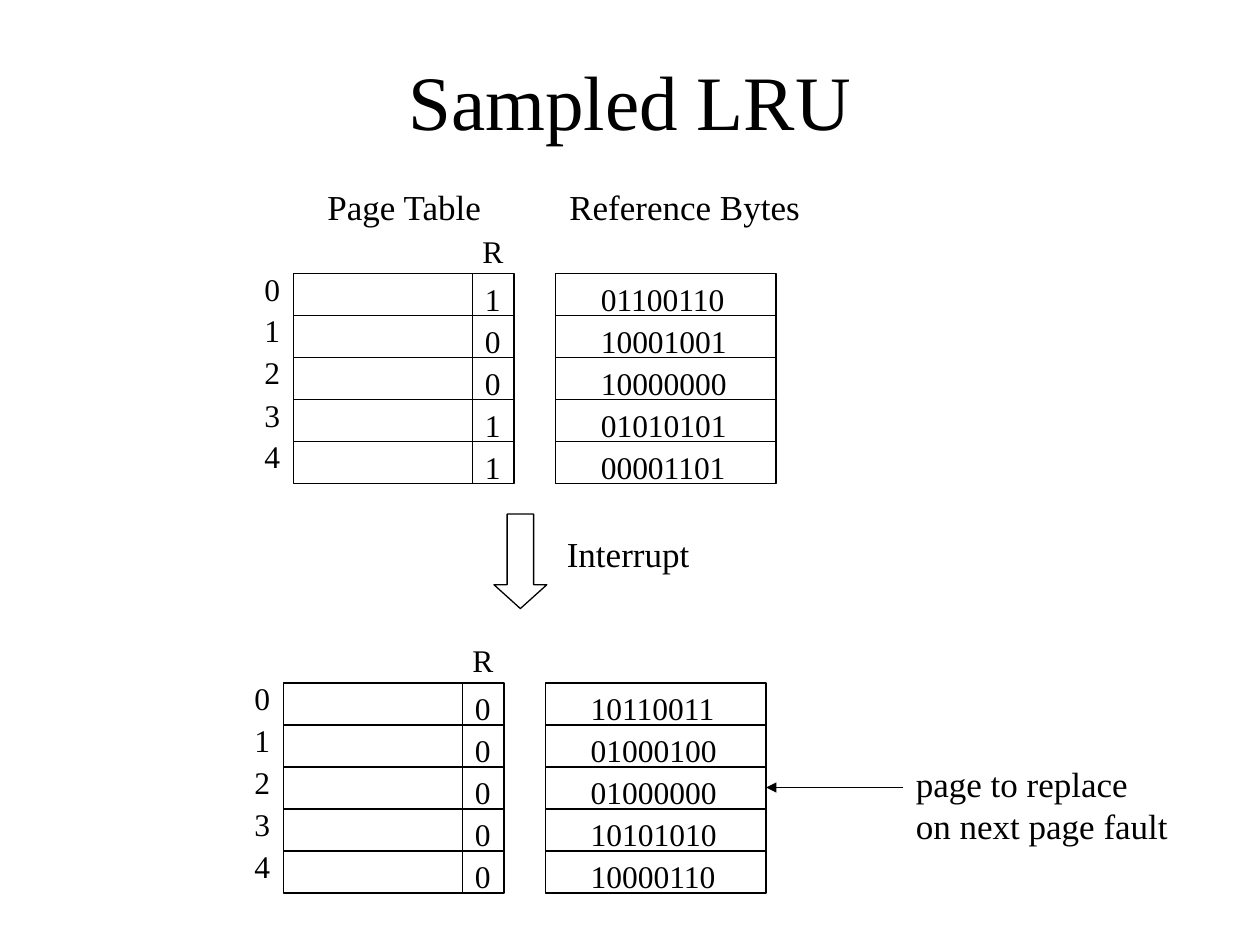
"""Build the Sampled LRU slide: page tables and reference bytes around an interrupt."""
from dataclasses import dataclass

from lxml import etree
from pptx import Presentation
from pptx.dml.color import RGBColor
from pptx.enum.shapes import MSO_CONNECTOR, MSO_SHAPE
from pptx.enum.text import MSO_ANCHOR, MSO_AUTO_SIZE, PP_ALIGN
from pptx.oxml.ns import qn
from pptx.shapes.autoshape import Shape
from pptx.shapes.connector import Connector
from pptx.slide import Slide
from pptx.util import Inches, Pt

RECTANGLE = MSO_SHAPE.RECTANGLE
DOWN_ARROW = MSO_SHAPE.DOWN_ARROW
STRAIGHT = MSO_CONNECTOR.STRAIGHT
MIDDLE = MSO_ANCHOR.MIDDLE
CENTER = PP_ALIGN.CENTER
FIT_SHAPE = MSO_AUTO_SIZE.SHAPE_TO_FIT_TEXT
NO_AUTOFIT = MSO_AUTO_SIZE.NONE

BLACK = RGBColor(0x00, 0x00, 0x00)
FONT = "Times New Roman"
OUTLINE = Pt(0.75)
TABLE_WIDTH = 1.75
ROW_HEIGHT = 1 / 3
R_COLUMN = 1.42
BYTES_COLUMN = 2.08


@dataclass(frozen=True)
class Label:
    text: str
    left: float
    top: float
    width: float
    height: float = 0.44
    size: int = 20


@dataclass(frozen=True)
class Snapshot:
    left: float
    top: float
    r_bits: str
    reference_bytes: tuple[str, ...]


HEADINGS = (
    Label("Page Table", 2.5, 1.42, 1.44),
    Label("Reference Bytes", 4.42, 1.42, 2.03),
    Label("Interrupt", 4.4, 4.18, 1.22),
    Label("page to replace\non next page fault", 7.17, 6, 2.2, 0.77),
)
SNAPSHOTS = (
    Snapshot(2.33, 2.17, "10011",
             ("01100110", "10001001", "10000000", "01010101", "00001101")),
    Snapshot(2.25, 5.42, "00000",
             ("10110011", "01000100", "01000000", "10101010", "10000110")),
)


def add_label(slide: Slide, label: Label) -> Shape:
    box = slide.shapes.add_textbox(
        Inches(label.left), Inches(label.top), Inches(label.width), Inches(label.height))
    frame = box.text_frame
    frame.text = label.text
    frame.word_wrap = False
    frame.auto_size = FIT_SHAPE
    font_format = {"name": FONT, "size": Pt(label.size)}
    for paragraph in frame.paragraphs:
        for attribute, value in font_format.items():
            setattr(paragraph.font, attribute, value)
        paragraph.font.color.rgb = BLACK
    return box


def add_title(slide: Slide) -> None:
    frame = add_label(slide, Label("Sampled LRU", 0.75, 0.33, 8.5, 0.92, 44)).text_frame
    title_format = {"word_wrap": True, "auto_size": NO_AUTOFIT, "vertical_anchor": MIDDLE}
    for attribute, value in title_format.items():
        setattr(frame, attribute, value)
    frame.paragraphs[0].alignment = CENTER


def add_outline(slide: Slide, kind: MSO_SHAPE, left: float, top: float,
                width: float, height: float) -> Shape:
    shape = slide.shapes.add_shape(
        kind, Inches(left), Inches(top), Inches(width), Inches(height))
    shape.shadow.inherit = False
    shape.fill.background()
    shape.line.color.rgb = BLACK
    shape.line.width = OUTLINE
    return shape


def add_line(slide: Slide, x1: float, y1: float, x2: float, y2: float) -> Connector:
    line = slide.shapes.add_connector(
        STRAIGHT, Inches(x1), Inches(y1), Inches(x2), Inches(y2))
    line.line.color.rgb = BLACK
    line.line.width = OUTLINE
    etree.SubElement(line._element.spPr, qn("a:effectLst"))
    return line


def add_arrow(slide: Slide, x1: float, y1: float, x2: float, y2: float) -> None:
    arrow = add_line(slide, x1, y1, x2, y2)
    etree.SubElement(arrow.line._get_or_add_ln(), qn("a:tailEnd"), type="triangle")


def add_snapshot(slide: Slide, snapshot: Snapshot) -> None:
    left, top = snapshot.left, snapshot.top
    divider = left + R_COLUMN
    table_height = ROW_HEIGHT * len(snapshot.r_bits)
    add_outline(slide, RECTANGLE, left, top, TABLE_WIDTH, table_height)
    add_line(slide, divider, top, divider, top + table_height)
    add_label(slide, Label("R", divider - 0.02, top - 0.38, 0.36, 0.4, 18))
    rows = zip(snapshot.r_bits, snapshot.reference_bytes)
    for page, (r_bit, reference_byte) in enumerate(rows):
        row_top = top + page * ROW_HEIGHT
        if page:
            add_line(slide, left, row_top, left + TABLE_WIDTH, row_top)
        add_outline(slide, RECTANGLE, left + BYTES_COLUMN, row_top, TABLE_WIDTH, ROW_HEIGHT)
        for label in (
            Label(str(page), left - 0.33, row_top - 0.08, 0.32, 0.4, 18),
            Label(r_bit, divider, row_top, 0.32, 0.4, 18),
            Label(reference_byte, left + BYTES_COLUMN + 0.26, row_top, 1.2, 0.4, 18),
        ):
            add_label(slide, label)


def main() -> None:
    presentation = Presentation()
    presentation.slide_width = Inches(10)
    presentation.slide_height = Inches(7.5)
    slide = presentation.slides.add_slide(presentation.slide_layouts[6])
    add_title(slide)
    for snapshot in SNAPSHOTS:
        add_snapshot(slide, snapshot)
    interrupt_arrow = add_outline(slide, DOWN_ARROW, 3.92, 4.08, 0.42, 0.75)
    interrupt_arrow.adjustments[0] = 0.5
    interrupt_arrow.adjustments[1] = 0.45
    for heading in HEADINGS:
        add_label(slide, heading)
    add_arrow(slide, 7.17, 6.25, 6.08, 6.25)
    presentation.save("out.pptx")


if __name__ == "__main__":
    main()
